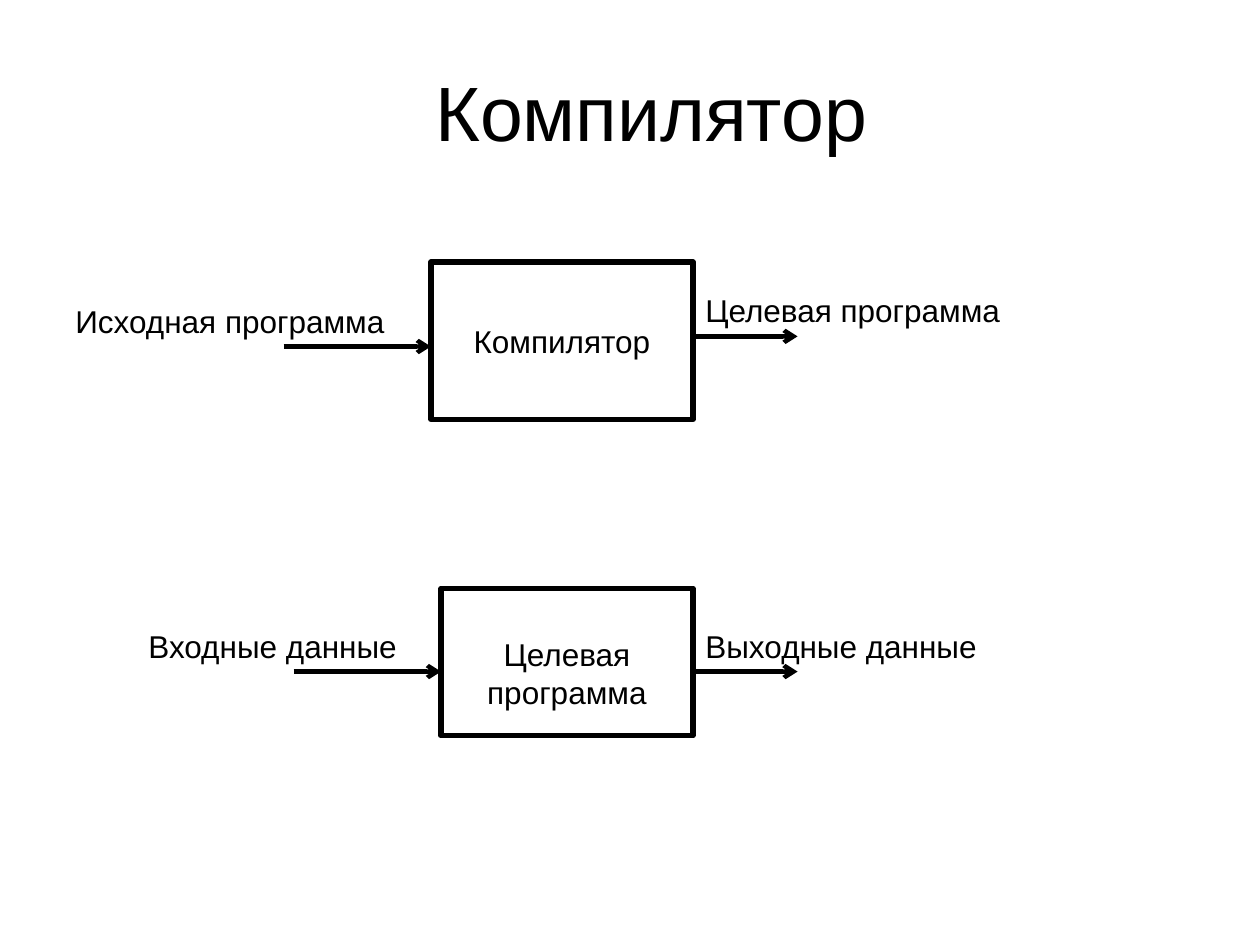
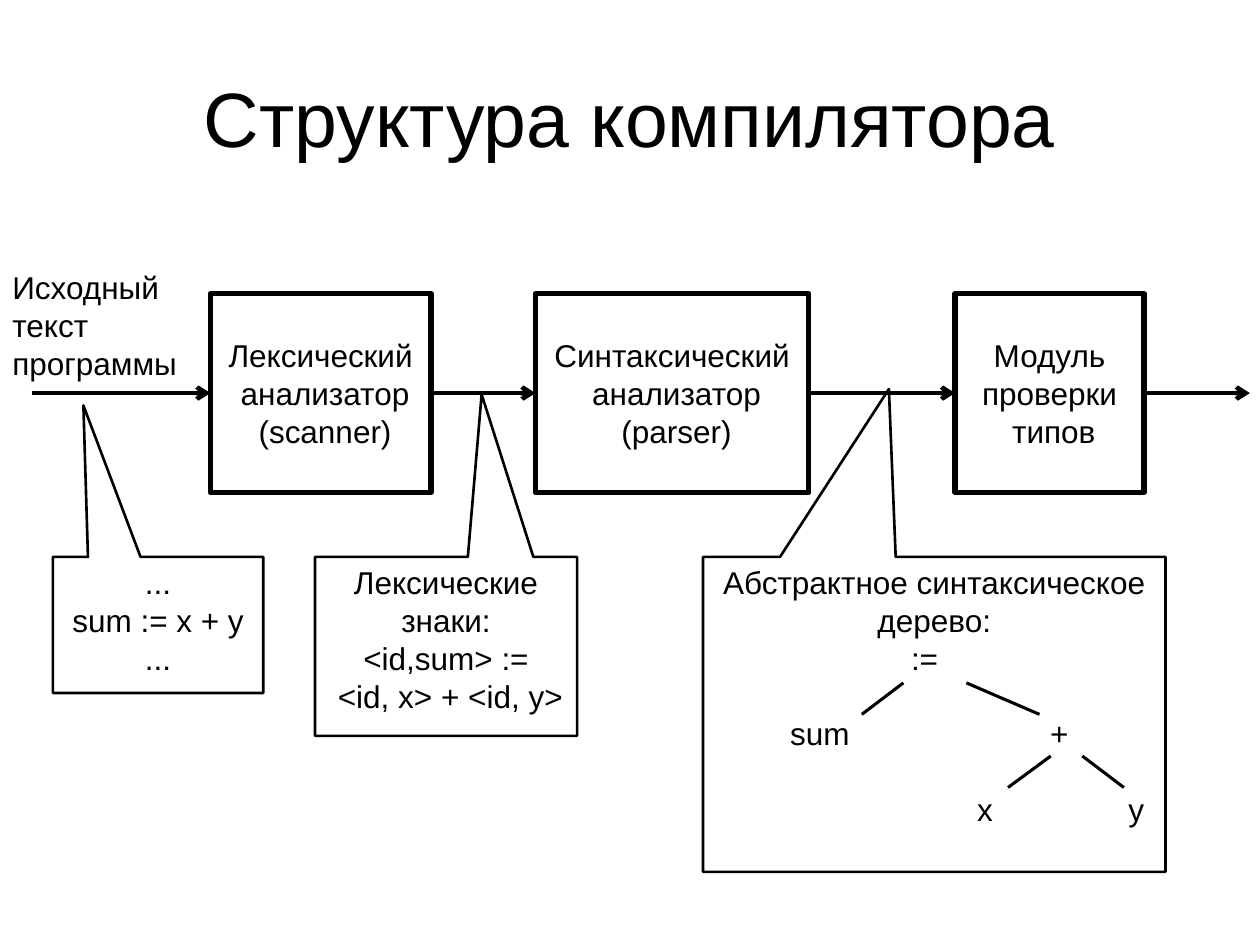
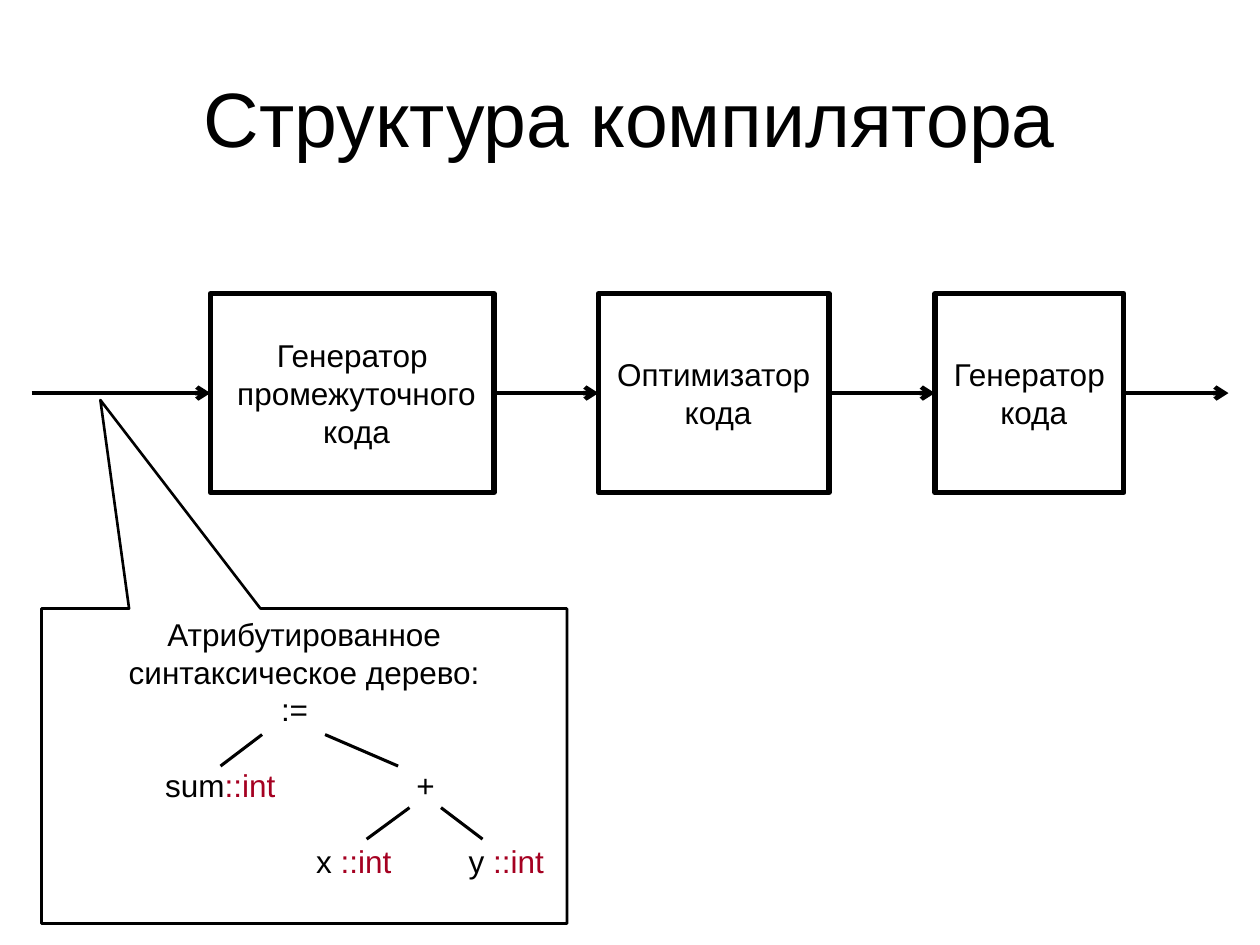
import pptx
import pptx.dml.color
import pptx.enum.shapes
import pptx.enum.text
import pptx.oxml
import pptx.oxml.ns
import pptx.util
from dataclasses import dataclass

Inches = pptx.util.Inches
SHAPES = pptx.enum.shapes.MSO_SHAPE
ALIGN = pptx.enum.text.PP_ALIGN
ANCHOR = pptx.enum.text.MSO_ANCHOR
DRAWING = pptx.oxml.ns.nsdecls("a")


@dataclass(frozen=True)
class Theme:
    font: str = "Arial"
    ink: str = "000000"
    accent: str = "A50021"
    title_size: float = 44
    text_size: float = 18
    box_line: float = 3
    arrow_line: float = 2.5
    callout_line: float = 1.5
    branch_line: float = 1.75


theme = Theme()
ink = pptx.dml.color.RGBColor.from_string(theme.ink)
accent = pptx.dml.color.RGBColor.from_string(theme.accent)


def format_text(paragraph, size, alignment):
    paragraph.alignment = alignment
    for run in paragraph.runs:
        run.font.name = theme.font
        run.font.size = pptx.util.Pt(size)
        run.font.color.rgb = ink


def add_line(slide, start, end, width, arrow=False):
    line = slide.shapes.add_connector(
        pptx.enum.shapes.MSO_CONNECTOR.STRAIGHT,
        *(Inches(value) for value in (*start, *end)))
    line.line.color.rgb = ink
    line.line.width = pptx.util.Pt(width)
    if arrow:
        line.line._get_or_add_ln().append(
            pptx.oxml.parse_xml(f'<a:tailEnd {DRAWING} type="arrow"/>'))
    line._element.spPr.append(pptx.oxml.parse_xml(f"<a:effectLst {DRAWING}/>"))
    return line


# Stages of a pipeline share one row; a box is (text, left, width).
STAGE_TOP, STAGE_HEIGHT = 2.33, 1.58
STAGE_MIDDLE = STAGE_TOP + STAGE_HEIGHT / 2
PIPELINE_START = 0.25

# Branches of the syntax tree, measured from its root.
BRANCHES = [
    ((-0.25, 0), (-0.58, 0.25)),
    ((0.25, 0), (0.83, 0.25)),
    ((0.92, 0.58), (0.58, 0.83)),
    ((1.17, 0.58), (1.5, 0.83)),
]

presentation = pptx.Presentation()
presentation.slide_width = Inches(10)
presentation.slide_height = Inches(7.5)
title_only = presentation.slide_layouts[5]

# Boxes: text, left, top, width, height, top inset.
# Callouts: place, pointer, centred lines, tree lines with their tab stops;
# a part between bars takes the accent colour.
slides = [
    dict(
        title="Компилятор",
        title_place=(0.67, 0.25, 9, 1.25),
        boxes=[("Компилятор", 3.42, 2.08, 2.08, 1.25, 0.05),
               ("Целевая\nпрограмма", 3.5, 4.67, 2, 1.17, 0.22)],
        labels=[("Исходная программа", 0.5, 2.35, 2.83, 0.4),
                ("Целевая программа", 5.5, 2.26, 4, 0.4),
                ("Входные данные", 1.08, 4.93, 3, 0.4),
                ("Выходные данные", 5.5, 4.93, 4.08, 0.4)],
        arrows=[(2.25, 3.42, 2.75), (5.5, 6.33, 2.67),
                (2.33, 3.5, 5.33), (5.5, 6.33, 5.33)],
    ),
    dict(
        title="Структура компилятора",
        stages=[("Лексический\n анализатор\n (scanner)", 1.67, 1.75),
                ("Синтаксический\n анализатор\n (parser)", 4.25, 2.17),
                ("Модуль\nпроверки\n типов", 7.58, 1.5)],
        pipeline_end=9.92,
        labels=[("Исходный текст программы", 0, 2.08, 1.67, 1)],
        callouts=[
            ((0.42, 4.42, 1.67, 1.08), (-0.355, -1.614),
             ["...", "sum := x + y", "..."], []),
            ((2.5, 4.42, 2.08, 1.42), (0.136, -1.408),
             ["Лексические знаки:", "<id,sum> :=\n <id, x> + <id, y>"], []),
            ((5.58, 4.42, 3.67, 2.5), (-0.098, -1.033),
             ["Абстрактное синтаксическое дерево:"],
             [("\t:=", [1.66]), ("\tsum\t+", [0.83, 2.73]),
              ("\tx\ty", [2.14, 3.34])]),
        ],
        tree_root=(7.42, 5.42),
    ),
    dict(
        title="Структура компилятора",
        stages=[("Генератор\n промежуточного\n кода", 1.67, 2.25),
                ("Оптимизатор\n кода", 4.75, 1.83),
                ("Генератор\n кода", 7.42, 1.5)],
        pipeline_end=9.75,
        callouts=[
            ((0.33, 4.83, 4.17, 2.5), (-0.388, -1.162),
             ["Атрибутированное синтаксическое дерево:"],
             [("\t:=", [1.91]), ("\tsum|::int|\t+", [1.32, 2.95]),
              ("\tx |::int|\ty |::int", [2.38, 3.59])]),
        ],
        tree_root=(2.33, 5.83),
    ),
]

for content in slides:
    slide = presentation.slides.add_slide(title_only)

    title = slide.shapes.title
    place = content.get("title_place", (0.5, 0.3, 9, 1.25))
    title.left, title.top, title.width, title.height = map(Inches, place)
    title.text_frame.text = content["title"]
    title.text_frame.vertical_anchor = ANCHOR.MIDDLE
    format_text(title.text_frame.paragraphs[0], theme.title_size, ALIGN.CENTER)

    stages = content.get("stages", [])
    boxes = content.get("boxes", []) + [
        (text, left, STAGE_TOP, width, STAGE_HEIGHT, 0.05)
        for text, left, width in stages]
    box_shapes = []
    for text, left, top, width, height, inset in boxes:
        box = slide.shapes.add_shape(
            SHAPES.RECTANGLE, *map(Inches, (left, top, width, height)))
        box.shadow.inherit = False
        box.fill.background()
        box.line.color.rgb = ink
        box.line.width = pptx.util.Pt(theme.box_line)
        box.text_frame.word_wrap = False
        box.text_frame.vertical_anchor = ANCHOR.MIDDLE
        box.text_frame.margin_top = Inches(inset)
        paragraph = box.text_frame.paragraphs[0]
        paragraph.text = text
        format_text(paragraph, theme.text_size, ALIGN.CENTER)
        box_shapes.append(box)

    for left, right, height in content.get("arrows", []):
        add_line(slide, (left, height), (right, height), theme.arrow_line, True)

    if stages:
        starts = [PIPELINE_START] + [left + width for _, left, width in stages]
        ends = [left for _, left, _ in stages] + [content["pipeline_end"]]
        for index, (start, end) in enumerate(zip(starts, ends)):
            arrow = add_line(slide, (start, STAGE_MIDDLE), (end, STAGE_MIDDLE),
                             theme.arrow_line, True)
            if index > 0:
                arrow.begin_connect(box_shapes[index - 1], 3)
            if index < len(stages):
                arrow.end_connect(box_shapes[index], 1)

    for text, *place in content.get("labels", []):
        label = slide.shapes.add_textbox(*map(Inches, place))
        label.text_frame.word_wrap = True
        label.text_frame.text = text
        format_text(label.text_frame.paragraphs[0], theme.text_size, ALIGN.LEFT)

    for place, pointer, lines, tree in content.get("callouts", []):
        callout = slide.shapes.add_shape(
            SHAPES.RECTANGULAR_CALLOUT, *map(Inches, place))
        callout.adjustments[0], callout.adjustments[1] = pointer
        callout.shadow.inherit = False
        callout.fill.background()
        callout.line.color.rgb = ink
        callout.line.width = pptx.util.Pt(theme.callout_line)
        frame = callout.text_frame
        frame.word_wrap = True
        frame.vertical_anchor = ANCHOR.TOP
        for index, text in enumerate(lines):
            paragraph = frame.add_paragraph() if index else frame.paragraphs[0]
            paragraph.text = text
            format_text(paragraph, theme.text_size, ALIGN.CENTER)
        for level, (text, stops) in enumerate(tree):
            paragraph = frame.add_paragraph()
            for part in text.split("|"):
                paragraph.add_run().text = part
            format_text(paragraph, theme.text_size, ALIGN.LEFT)
            for run in paragraph.runs[1::2]:
                run.font.color.rgb = accent
            paragraph.space_before = pptx.util.Pt(21.6 if level else 0)
            tabs = "".join(f'<a:tab pos="{Inches(stop)}" algn="ctr"/>'
                           for stop in stops)
            paragraph._p.get_or_add_pPr().append(
                pptx.oxml.parse_xml(f"<a:tabLst {DRAWING}>{tabs}</a:tabLst>"))

    if "tree_root" in content:
        root_x, root_y = content["tree_root"]
        for (x1, y1), (x2, y2) in BRANCHES:
            add_line(slide, (root_x + x1, root_y + y1),
                     (root_x + x2, root_y + y2), theme.branch_line)

presentation.save("out.pptx")
